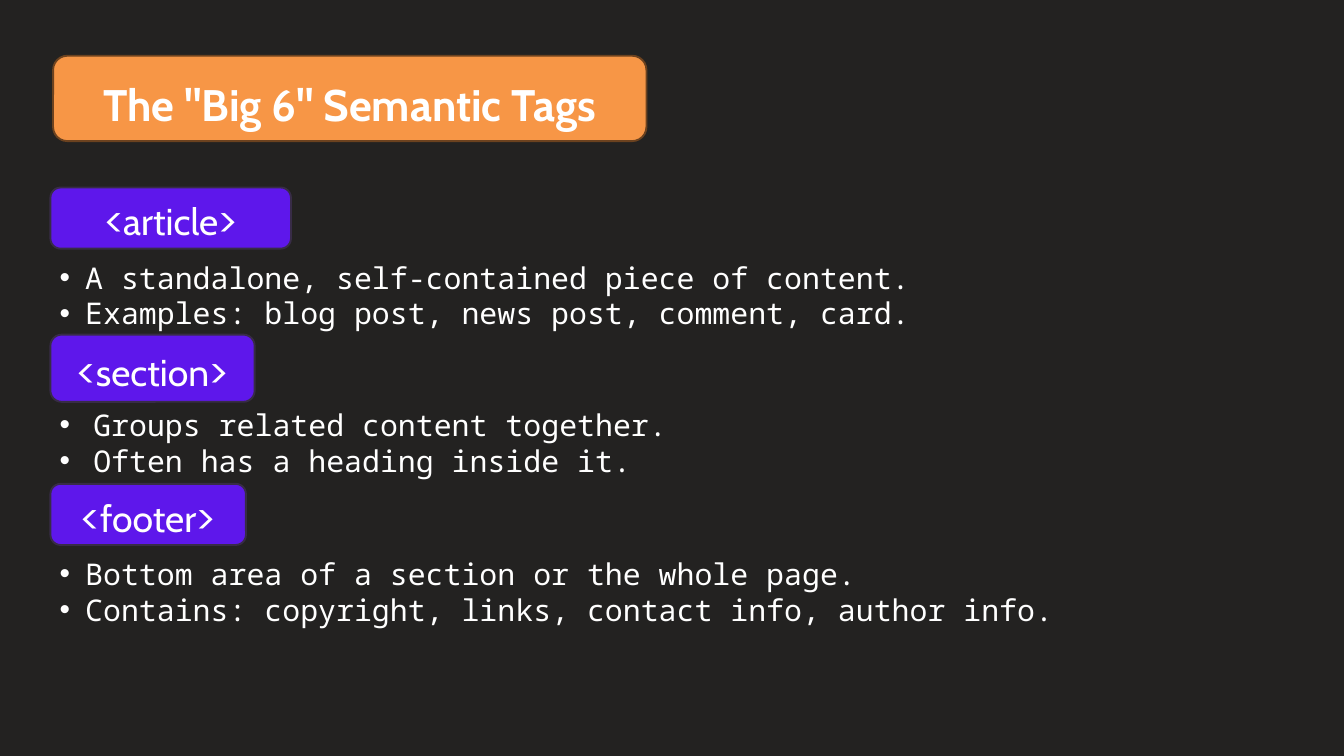
from lxml.etree import SubElement
from pptx import Presentation
from pptx.dml.color import RGBColor
from pptx.enum.shapes import MSO_SHAPE
from pptx.enum.text import MSO_ANCHOR, MSO_AUTO_SIZE, PP_ALIGN
from pptx.oxml.ns import qn
from pptx.util import Inches, Pt

WIDE, HIGH = Inches(20), Inches(11.25)
COL, ROW = WIDE / 20, HIGH / 11.25
HUES = {"back": "232221", "title": "F79646", "rim": "6C421F",
        "tag": "5E17EB", "edge": "382C47", "text": "FFFFFF"}
PARTS = [
    ("article", 2.79, 3.58, 0.91, 0.38,
     ["A standalone, self-contained piece of content.",
      "Examples: blog post, news post, comment, card."]),
    ("section", 4.98, 3.04, 1, 0.5,
     ["Groups related content together.",
      "Often has a heading inside it."]),
    ("footer", 7.2, 2.91, 0.91, 0.38,
     ["Bottom area of a section or the whole page.",
      "Contains: copyright, links, contact info, author info."]),
]


def hue(name):
    """Return the named colour."""
    return RGBColor.from_string(HUES[name])


def place(box):
    """Turn columns and rows into slide lengths."""
    left, top, width, height = box
    return [round(n) for n in (left * COL, top * ROW, width * COL, height * ROW)]


def style(font, face, size, bold=False):
    """Set the face, size and weight of light text."""
    font.name, font.size, font.bold = face, Pt(size), bold
    font.color.rgb = hue("text")


def add_card(slide, box, fill, line):
    """Add a rounded, outlined card."""
    card = slide.shapes.add_shape(MSO_SHAPE.ROUNDED_RECTANGLE, *place(box))
    card.shadow.inherit = False
    card.fill.solid()
    card.fill.fore_color.rgb = hue(fill)
    card.line.color.rgb = hue(line)
    card.line.width = Pt(2)
    return card


def add_title(slide, box, text):
    """Set the slide title on an orange card."""
    left, top, width, height = box
    title = slide.shapes.title
    card = add_card(slide, box, "title", "rim")
    title.element.addprevious(card.element)
    title.left, title.top, title.width, title.height = place(
        (left, top + 0.19, width, height * 0.7))
    frame = title.text_frame
    frame.text = text
    frame.word_wrap = True
    frame.auto_size = MSO_AUTO_SIZE.NONE
    frame.vertical_anchor = MSO_ANCHOR.TOP
    frame.margin_left = frame.margin_right = 0
    frame.margin_top = frame.margin_bottom = 0
    para = frame.paragraphs[0]
    para.alignment = PP_ALIGN.CENTER
    para.line_spacing = Pt(66.2)
    style(para.font, "Cabin", 47.3, True)


def add_tag(slide, box, name):
    """Add a purple card that holds a tag name in brackets."""
    frame = add_card(slide, box, "tag", "edge").text_frame
    frame.vertical_anchor = MSO_ANCHOR.MIDDLE
    para = frame.paragraphs[0]
    para.alignment = PP_ALIGN.CENTER
    for text, size in (("<", 48), (name, 40), (">", 48)):
        run = para.add_run()
        run.text = text
        style(run.font, "Cabin", size)


def add_list(slide, box, items, indent):
    """Add a bulleted list with a hanging indent."""
    frame = slide.shapes.add_textbox(*place(box)).text_frame
    frame.word_wrap = True
    frame.vertical_anchor = MSO_ANCHOR.MIDDLE
    for i, item in enumerate(items):
        para = frame.add_paragraph() if i else frame.paragraphs[0]
        para.text = item
        props = para._p.get_or_add_pPr()
        props.set("marL", str(Inches(indent)))
        props.set("indent", str(-Inches(indent)))
        SubElement(props, qn("a:buFont")).set("typeface", "Arial")
        SubElement(props, qn("a:buChar")).set("char", "•")
        style(para.font, "Noto Sans Mono", 32)


def add_part(slide, box, name, width, height, indent, items):
    """Add a tag with its list below it."""
    left, top, span, depth = box
    add_tag(slide, (left, top, width, height), name)
    add_list(slide, (left + 0.04, top + 1.01, span, depth - 1.01), items, indent)


def main():
    """Build the slide and save it."""
    deck = Presentation()
    deck.slide_width, deck.slide_height = WIDE, HIGH
    slide = deck.slides.add_slide(deck.slide_layouts[5])
    slide.background.fill.solid()
    slide.background.fill.fore_color.rgb = hue("back")
    add_title(slide, (0.79, 0.83, 8.83, 1.27), 'The "Big 6" Semantic Tags')
    for name, top, width, height, indent, items in PARTS:
        add_part(slide, (0.75, top, 15.6, 2.19), name, width, height, indent, items)
    deck.save("out.pptx")


if __name__ == "__main__":
    main()
